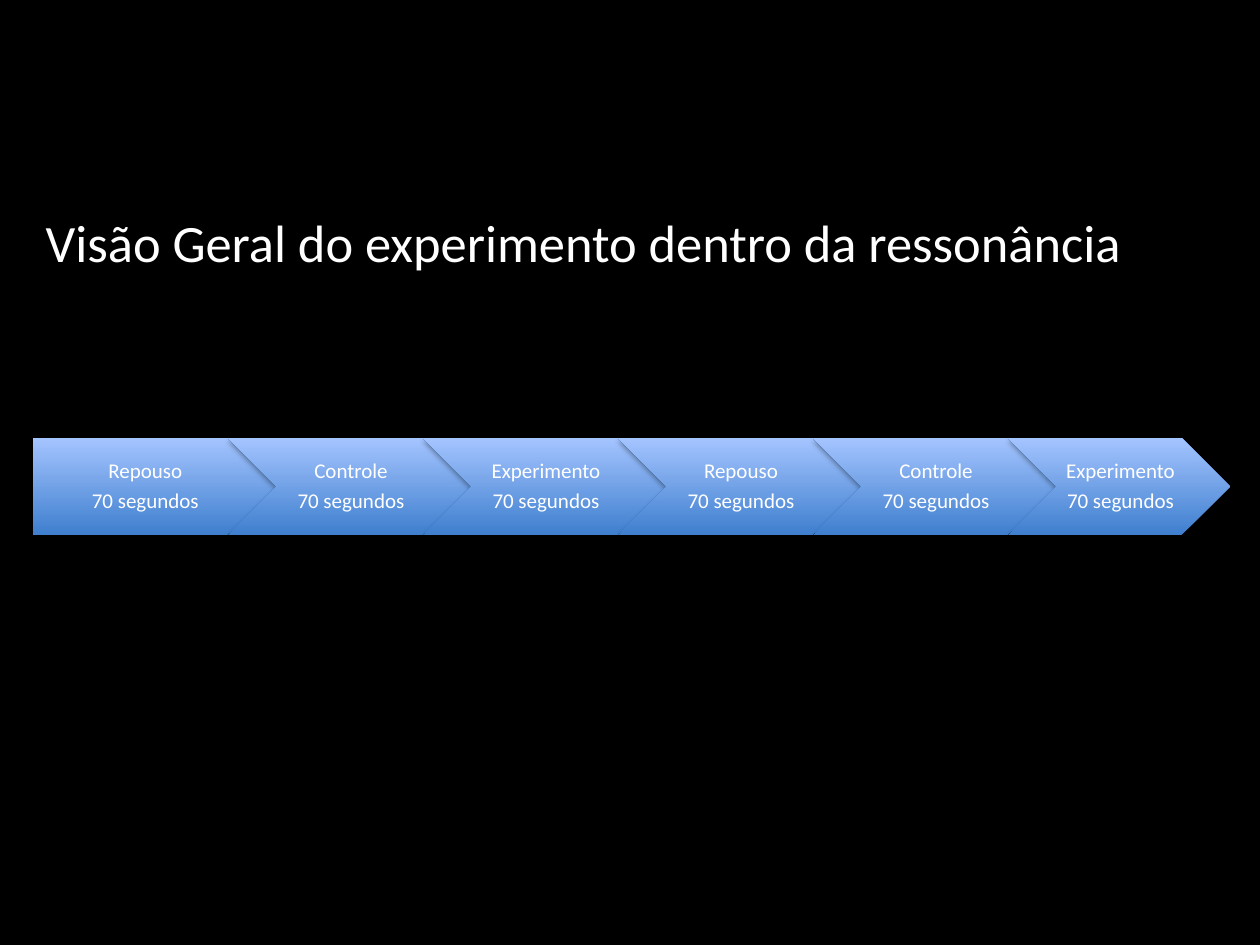
from lxml import etree
from pptx import Presentation
from pptx import util as u
from pptx.dml.color import RGBColor
from pptx.enum import shapes, text
from pptx.oxml import ns

TITLE = "Visão Geral do experimento dentro da ressonância"
PHASES = ["Repouso", "Controle", "Experimento"] * 2
DURATION = "70 segundos"

COLORS = {"background": "000000", "text": "FFFFFF", "shadow": "000000",
          "bottom": "3F7FCE", "top": "A4C4FF"}
FONT = "Calibri"

# Lengths in px, 126 to the inch
PX = 914400 / 126
SLIDE = (1260, 945)
TITLE_BOX = (33, 204, 1196, 77)
LEFT, TOP, HEIGHT, PITCH = 33, 438, 97, 195
WIDTH, LAST_WIDTH = 243, 222


def px(*lengths):
    return [u.Emu(round(n * PX)) for n in lengths]


def rgb(name):
    return RGBColor.from_string(COLORS[name])


def write(shape, lines, size, frame, paragraph):
    tf = shape.text_frame
    tf.word_wrap = True
    for name, value in frame.items():
        setattr(tf, name, value)
    for i, line in enumerate(lines):
        p = tf.add_paragraph() if i else tf.paragraphs[0]
        for name, value in paragraph.items():
            setattr(p, name, value)
        r = p.add_run()
        r.text = line
        r.font.name, r.font.size = FONT, u.Pt(size)
        r.font.color.rgb = rgb("text")


def add_shadow(shape):
    shape.shadow.inherit = False
    effects = shape._element.spPr.find(ns.qn("a:effectLst"))
    shadow = etree.SubElement(effects, ns.qn("a:outerShdw"), blurRad="40000",
                              dist="23000", dir="5400000", rotWithShape="0")
    color = etree.SubElement(shadow, ns.qn("a:srgbClr"), val=COLORS["shadow"])
    etree.SubElement(color, ns.qn("a:alpha"), val="35000")


def add_phase(group, i, phase):
    first, last = i == 0, i == len(PHASES) - 1
    left = LEFT + i * PITCH
    width = LAST_WIDTH if last else WIDTH
    kind = shapes.MSO_SHAPE.PENTAGON if first else shapes.MSO_SHAPE.CHEVRON
    arrow = group.shapes.add_shape(kind, *px(left, TOP, width, HEIGHT))
    arrow.fill.gradient()
    arrow.fill.gradient_angle = 90
    for stop, name in zip(arrow.fill.gradient_stops, ("bottom", "top")):
        stop.color.rgb = rgb(name)
    arrow.line.fill.background()
    add_shadow(arrow)

    # The label keeps clear of the notch and the point
    notch, point = (0, HEIGHT / 4) if first else (HEIGHT / 2, HEIGHT / 2)
    label = group.shapes.add_textbox(
        *px(left + notch, TOP, width - notch - point, HEIGHT))
    margins = px(9 if first else 6, 5, 3, 5)
    frame = dict(zip(("margin_left", "margin_top", "margin_right",
                      "margin_bottom"), margins),
                 vertical_anchor=text.MSO_ANCHOR.MIDDLE)
    write(label, [phase, DURATION], 12, frame,
          {"alignment": text.PP_ALIGN.CENTER, "line_spacing": 0.9,
           "space_after": u.Pt(4.2)})


def main():
    prs = Presentation()
    prs.slide_width, prs.slide_height = px(*SLIDE)
    s = prs.slides.add_slide(prs.slide_layouts[5])
    s.background.fill.solid()
    s.background.fill.fore_color.rgb = rgb("background")

    title = s.shapes.title
    title.left, title.top, title.width, title.height = px(*TITLE_BOX)
    write(title, [TITLE], 30,
          {"vertical_anchor": text.MSO_ANCHOR.TOP,
           "auto_size": text.MSO_AUTO_SIZE.SHAPE_TO_FIT_TEXT},
          {"alignment": text.PP_ALIGN.JUSTIFY})

    group = s.shapes.add_group_shape()
    for i, phase in enumerate(PHASES):
        add_phase(group, i, phase)
    prs.save("out.pptx")


if __name__ == "__main__":
    main()
